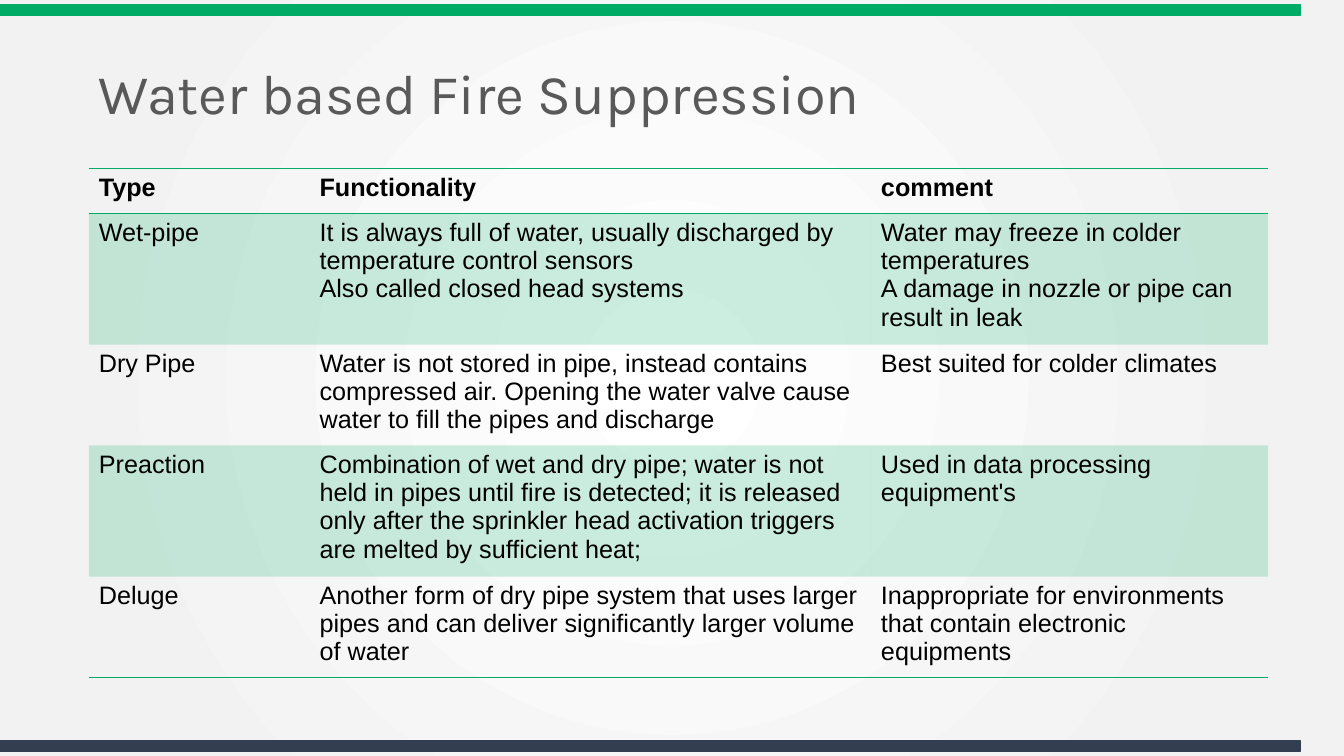
"""Build the slide on water based fire suppression."""
import lxml.etree
import pptx
import pptx.dml.color
import pptx.enum.shapes
import pptx.enum.text
import pptx.oxml
import pptx.oxml.ns
import pptx.util

Pt = pptx.util.Pt
qn = pptx.oxml.ns.qn

TITLE = "Water based Fire Suppression"
ROWS = [
    (["Type"], ["Functionality"], ["comment"]),
    (["Wet-pipe"],
     ["It is always full of water, usually discharged by temperature control sensors",
      "Also called closed head systems"],
     ["Water may freeze in colder temperatures",
      "A damage in nozzle or pipe can result in leak"]),
    (["Dry Pipe"],
     ["Water is not stored in pipe, instead contains compressed air. "
      "Opening the water valve cause water to fill the pipes and discharge"],
     ["Best suited for colder climates"]),
    (["Preaction"],
     ["Combination of wet and dry pipe; water is not held in pipes until fire is detected; "
      "it is released only after the sprinkler head activation triggers are melted by "
      "sufficient heat;"],
     ["Used in data processing equipment's"]),
    (["Deluge"],
     ["Another form of dry pipe system that uses larger pipes and can deliver "
      "significantly larger volume of water"],
     ["Inappropriate for environments that contain electronic equipments"]),
]
GREEN, NAVY, GREY, BLACK = "00AC65", "333F50", "595959", "000000"
BARS = [(3.6, GREEN), (529.2, NAVY)]
BACKGROUND_STOPS = [(0, "FFFFFF"), (81, "F2F2F2"), (100, "F2F2F2")]
COLUMN_WIDTHS = [157.7, 401, 283.7]
ROW_HEIGHTS = [32.4, 93.6, 72, 93.6, 72]
LEFT, CONTENT_WIDTH = 63.4, sum(COLUMN_WIDTHS)
NO_STYLE = "{2D5ABB26-0587-4C30-8999-92F81FD0307C}"


def color(value):
    return pptx.dml.color.RGBColor.from_string(value)


def add_run(paragraph, text, font, size, hex_color, bold=False):
    run = paragraph.add_run()
    run.text = text
    run.font.name = font
    run.font.size = Pt(size)
    run.font.bold = bold
    run.font.color.rgb = color(hex_color)


def set_background(slide):
    slide.background.fill.gradient()
    gradient = slide.element.find(".//" + qn("a:gradFill"))
    for child in list(gradient):
        gradient.remove(child)
    stops = lxml.etree.SubElement(gradient, qn("a:gsLst"))
    for position, value in BACKGROUND_STOPS:
        stop = lxml.etree.SubElement(stops, qn("a:gs"), pos=str(position * 1000))
        lxml.etree.SubElement(stop, qn("a:srgbClr"), val=value)
    circle = lxml.etree.SubElement(gradient, qn("a:path"), {"path": "circle"})
    lxml.etree.SubElement(circle, qn("a:fillToRect"), dict.fromkeys("ltrb", "50000"))


def add_bar(slide, top, value):
    bar = slide.shapes.add_shape(
        pptx.enum.shapes.MSO_SHAPE.RECTANGLE, 0, Pt(top), Pt(928.8), Pt(7.2))
    bar.shadow.inherit = False
    bar.fill.solid()
    bar.fill.fore_color.rgb = color(value)
    bar.line.color.rgb = color(value)
    bar.line.width = Pt(1)


def set_title(slide):
    title = slide.shapes.title
    title.left, title.top = Pt(LEFT), Pt(40.3)
    title.width, title.height = Pt(CONTENT_WIDTH), Pt(57.6)
    title.text_frame.vertical_anchor = pptx.enum.text.MSO_ANCHOR.MIDDLE
    paragraph = title.text_frame.paragraphs[0]
    paragraph.alignment = pptx.enum.text.PP_ALIGN.LEFT
    paragraph.line_spacing = 0.9
    add_run(paragraph, TITLE, "Karla", 40, GREY)


def add_border(cell, tag):
    line = pptx.oxml.parse_xml(
        f'<{tag} {pptx.oxml.ns.nsdecls("a")} w="{Pt(1)}"><a:solidFill>'
        f'<a:srgbClr val="{GREEN}"/></a:solidFill></{tag}>')
    cell._tc.get_or_add_tcPr().insert(0, line)


def fill_cell(cell, lines, row_index):
    frame = cell.text_frame
    for index, line in enumerate(lines):
        paragraph = frame.add_paragraph() if index else frame.paragraphs[0]
        add_run(paragraph, line, "Arial", 18, BLACK, bold=row_index == 0)
    if row_index % 2:
        cell.fill.solid()
        cell.fill.fore_color.rgb = color(GREEN)
        shade = cell._tc.tcPr.find(".//" + qn("a:srgbClr"))
        lxml.etree.SubElement(shade, qn("a:alpha"), val="20000")
    else:
        cell.fill.background()
    if row_index in (0, len(ROWS) - 1):
        add_border(cell, "a:lnB")
    if row_index == 0:
        add_border(cell, "a:lnT")


def add_types_table(slide):
    frame = slide.shapes.add_table(
        len(ROWS), len(COLUMN_WIDTHS), Pt(LEFT), Pt(120.2),
        Pt(CONTENT_WIDTH), Pt(sum(ROW_HEIGHTS)))
    table = frame.table
    table.first_row = table.horz_banding = False
    frame.element.find(".//" + qn("a:tableStyleId")).text = NO_STYLE
    for column, width in zip(table.columns, COLUMN_WIDTHS):
        column.width = Pt(width)
    for row_index, (row, height) in enumerate(zip(table.rows, ROW_HEIGHTS)):
        row.height = Pt(height)
        for cell, lines in zip(row.cells, ROWS[row_index]):
            fill_cell(cell, lines, row_index)


def main():
    presentation = pptx.Presentation()
    presentation.slide_width, presentation.slide_height = Pt(960), Pt(540)
    slide = presentation.slides.add_slide(presentation.slide_layouts[5])
    set_background(slide)
    for top, value in BARS:
        add_bar(slide, top, value)
    set_title(slide)
    add_types_table(slide)
    presentation.save("out.pptx")


if __name__ == "__main__":
    main()
